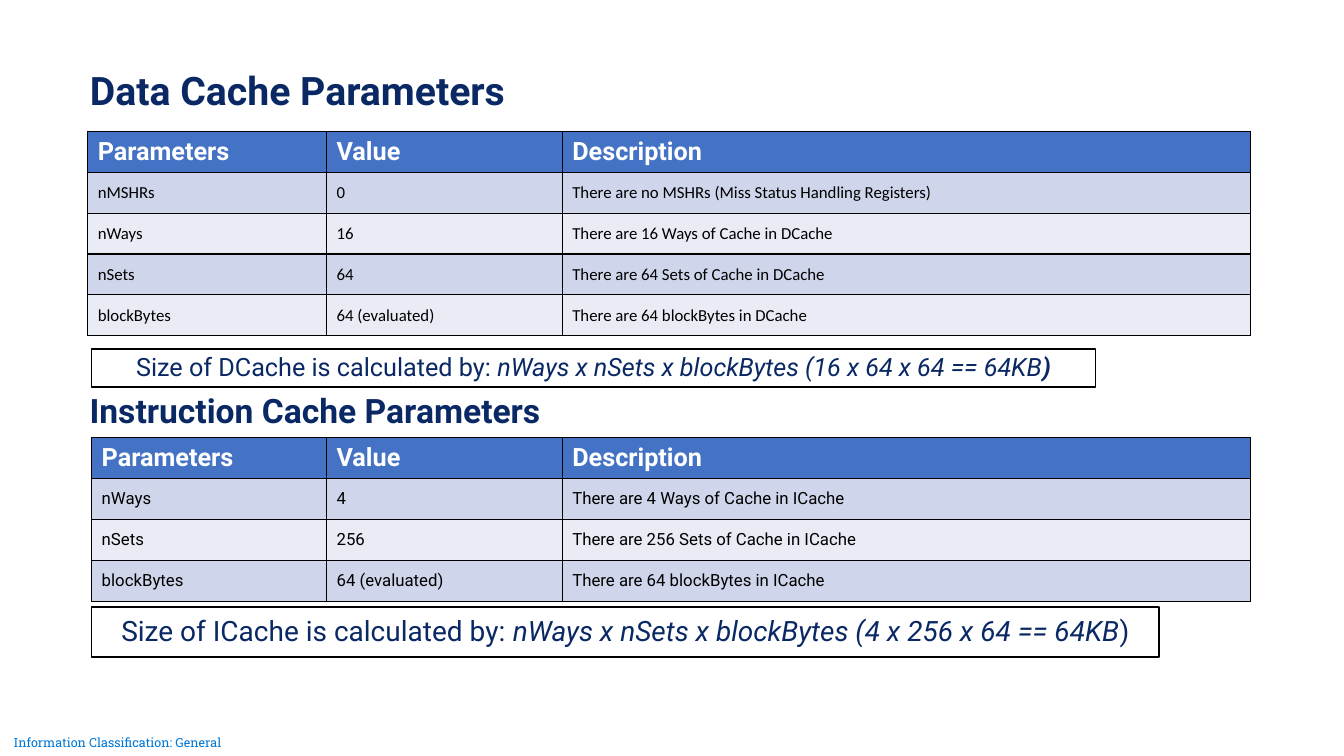
from lxml import etree
from pptx import Presentation
from pptx.dml.color import RGBColor
from pptx.enum.shapes import MSO_SHAPE
from pptx.enum.text import MSO_ANCHOR, PP_ALIGN
from pptx.oxml.ns import qn
from pptx.util import Cm, Pt

RECTANGLE = MSO_SHAPE.RECTANGLE
MIDDLE = MSO_ANCHOR.MIDDLE
LEFT, CENTER = PP_ALIGN.LEFT, PP_ALIGN.CENTER

TITLE_ONLY = 5
NAVY, BLACK, WHITE, SKY = "092864", "000000", "FFFFFF", "0078D7"
HEADER_FILL, BAND_FILLS = "4472C4", ("CFD5EA", "E9EBF5")
ROW_HEIGHT = 1.03
TABLE_RIGHT = 31.52
VALUE_WIDTH, DESCRIPTION_WIDTH = 5.94, 17.35

HEADER = ("Parameters", "Value", "Description")
DATA_ROWS = (
    ("nMSHRs", "0", "There are no MSHRs (Miss Status Handling Registers)"),
    ("nWays", "16", "There are 16 Ways of Cache in DCache"),
    ("nSets", "64", "There are 64 Sets of Cache in DCache"),
    ("blockBytes", "64 (evaluated)", "There are 64 blockBytes in DCache"),
)
INSTRUCTION_ROWS = (
    ("nWays", "4", "There are 4 Ways of Cache in ICache"),
    ("nSets", "256", "There are 256 Sets of Cache in ICache"),
    ("blockBytes", "64 (evaluated)", "There are 64 blockBytes in ICache"),
)


def color(hex_string):
    return RGBColor.from_string(hex_string)


def format_run(run, size, hex_color, font="Roboto", bold=False, italic=False):
    run.font.size = Pt(size)
    run.font.name = font
    run.font.bold = bold
    run.font.italic = italic
    run.font.color.rgb = color(hex_color)


def set_text(text_frame, text, size, hex_color, font="Roboto", bold=False,
             alignment=LEFT, line_spacing=1.0):
    text_frame.word_wrap = True
    text_frame.vertical_anchor = MIDDLE
    text_frame.text = text
    paragraph = text_frame.paragraphs[0]
    paragraph.alignment = alignment
    paragraph.line_spacing = line_spacing
    format_run(paragraph.runs[0], size, hex_color, font, bold)


def add_text(slide, left, top, width, height, text, *style, **options):
    shape = slide.shapes.add_textbox(Cm(left), Cm(top), Cm(width), Cm(height))
    set_text(shape.text_frame, text, *style, **options)
    return shape


def add_title(slide, text):
    title = slide.shapes.title
    title.left, title.top = Cm(2.01), Cm(1.73)
    title.width, title.height = Cm(17.5), Cm(1.24)
    set_text(title.text_frame, text, 28, NAVY, bold=True, line_spacing=0.9)


def add_borders(cell):
    properties = cell._tc.get_or_add_tcPr()
    for side in ("a:lnL", "a:lnR", "a:lnT", "a:lnB"):
        line = etree.SubElement(properties, qn(side), w=str(Pt(1)))
        fill = etree.SubElement(line, qn("a:solidFill"))
        etree.SubElement(fill, qn("a:srgbClr"), val=BLACK)


def add_parameter_table(slide, left, top, rows, body_font):
    row_count = len(rows) + 1
    width = TABLE_RIGHT - left
    table = slide.shapes.add_table(
        row_count, len(HEADER), Cm(left), Cm(top),
        Cm(width), Cm(ROW_HEIGHT * row_count)).table
    name_width = width - VALUE_WIDTH - DESCRIPTION_WIDTH
    widths = (name_width, VALUE_WIDTH, DESCRIPTION_WIDTH)
    for column, column_width in zip(table.columns, widths):
        column.width = Cm(column_width)
    for row_index, values in enumerate((HEADER, *rows)):
        table.rows[row_index].height = Cm(ROW_HEIGHT)
        if row_index == 0:
            fill, style = HEADER_FILL, (18, WHITE, "Roboto", True)
        else:
            fill = BAND_FILLS[(row_index - 1) % 2]
            style = (12, BLACK, body_font)
        for column_index, value in enumerate(values):
            cell = table.cell(row_index, column_index)
            set_text(cell.text_frame, value, *style)
            cell.vertical_anchor = MIDDLE
            add_borders(cell)
            cell.fill.solid()
            cell.fill.fore_color.rgb = color(fill)


def add_formula_box(slide, top, width, height, size, parts):
    """Each part is (text, bold, italic)."""
    shape = slide.shapes.add_shape(
        RECTANGLE, Cm(2.31), Cm(top), Cm(width), Cm(height))
    shape.shadow.inherit = False
    shape.fill.background()
    shape.line.color.rgb = color(BLACK)
    shape.line.width = Pt(1.25)
    text_frame = shape.text_frame
    text_frame.word_wrap = True
    text_frame.vertical_anchor = MIDDLE
    paragraph = text_frame.paragraphs[0]
    paragraph.alignment = CENTER
    paragraph.line_spacing = 0.9
    for text, bold, italic in parts:
        run = paragraph.add_run()
        run.text = text
        format_run(run, size, NAVY, bold=bold, italic=italic)


def add_classification(slide):
    label = add_text(slide, 0, 18.39, 5.92, 0.66,
                     "Information Classification: General",
                     9, SKY, "Roboto Slab", alignment=CENTER)
    frame = label.text_frame
    frame.margin_left = frame.margin_right = Cm(0)
    frame.margin_top = frame.margin_bottom = Cm(0)


def main():
    presentation = Presentation()
    presentation.slide_width, presentation.slide_height = Cm(33.87), Cm(19.05)
    slide = presentation.slides.add_slide(
        presentation.slide_layouts[TITLE_ONLY])
    add_classification(slide)

    # Data cache
    add_title(slide, "Data Cache Parameters")
    add_parameter_table(slide, 2.21, 3.31, DATA_ROWS, "Calibri")
    add_formula_box(slide, 8.79, 25.3, 0.97, 18, (
        ("Size of DCache is calculated by: ", False, False),
        ("nWays x nSets x blockBytes (16 x 64 x 64 == 64KB", False, True),
        (")", True, True)))

    # Instruction cache
    add_text(slide, 2.01, 9.75, 29.21, 1.3, "Instruction Cache Parameters",
             24, NAVY, bold=True, line_spacing=0.9)
    add_parameter_table(slide, 2.31, 11.03, INSTRUCTION_ROWS, "Roboto")
    add_formula_box(slide, 15.3, 26.9, 1.25, 20, (
        ("Size of ICache is calculated by: ", False, False),
        ("nWays x nSets x blockBytes (4 x 256 x 64 == 64KB", False, True),
        (")", False, False)))

    presentation.save("out.pptx")


if __name__ == "__main__":
    main()
